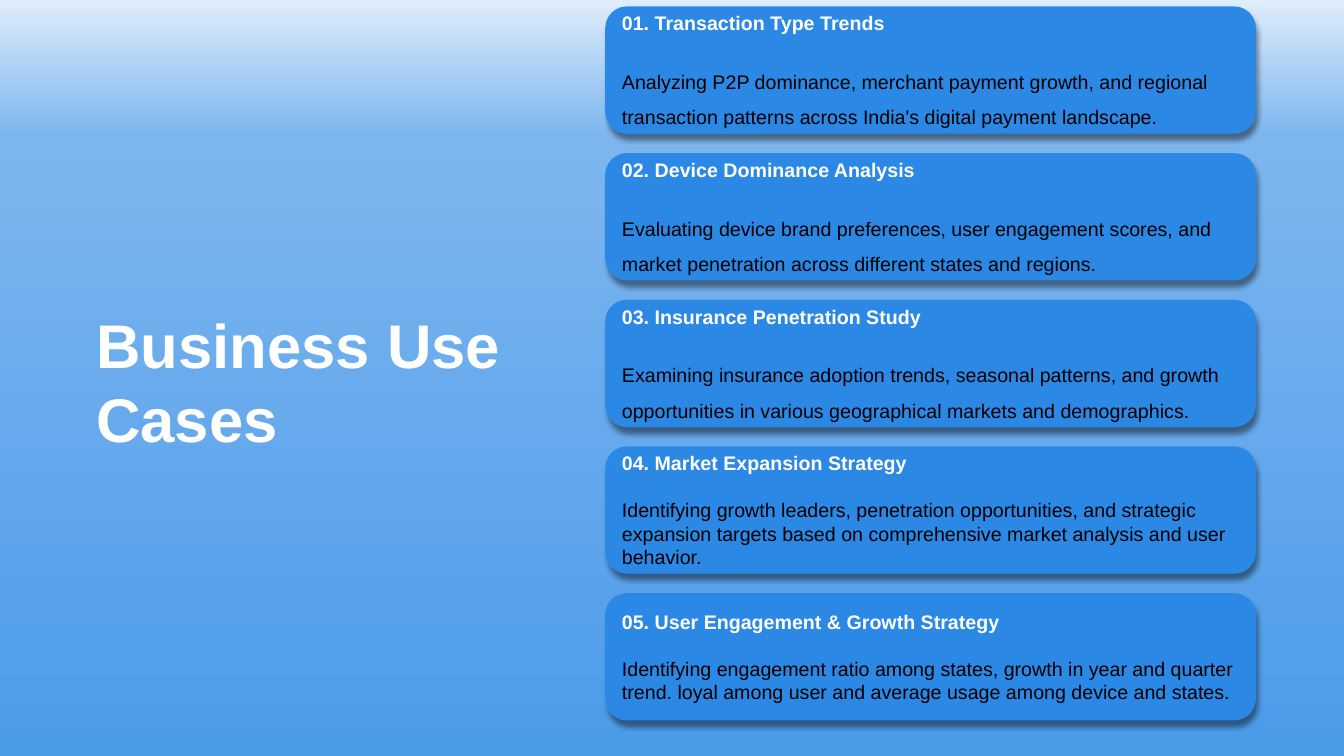
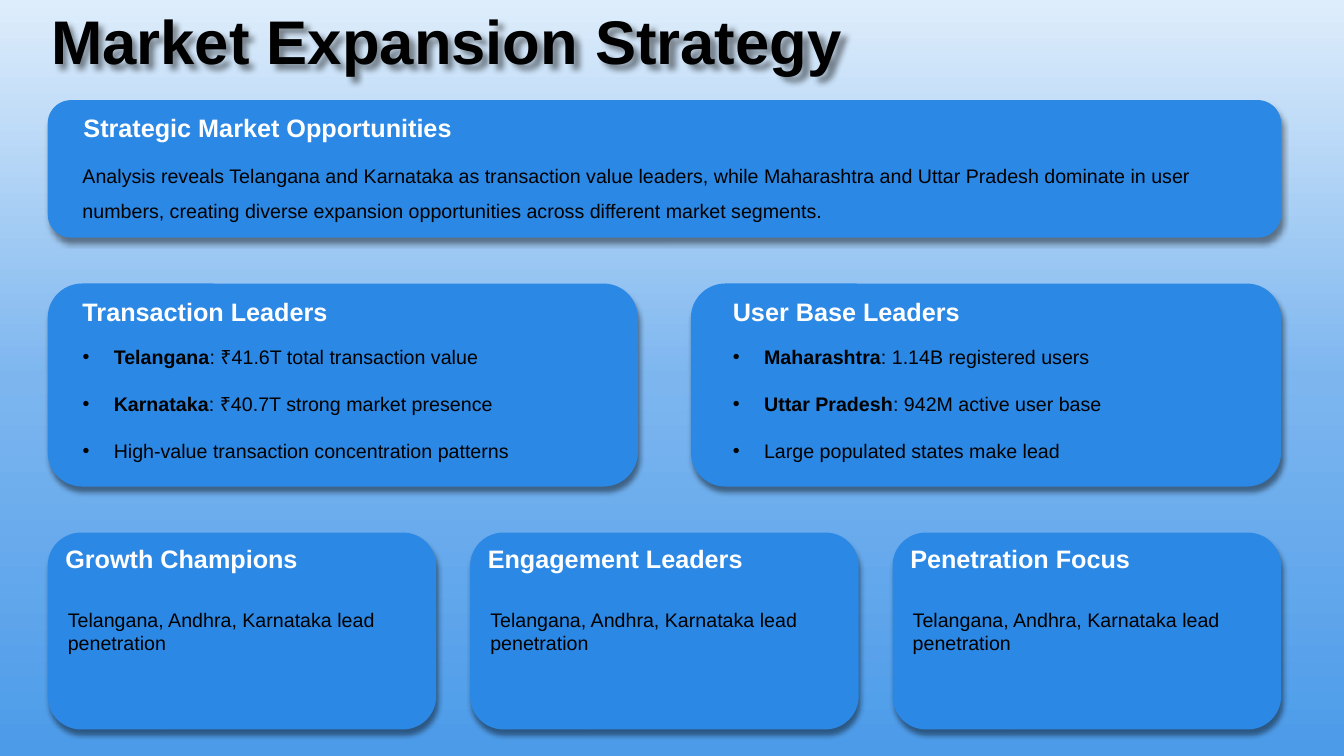
import pptx
import pptx.util
import pptx.dml.color
import pptx.enum.shapes
import pptx.enum.text
import pptx.oxml.ns
import lxml.etree

Inches = pptx.util.Inches
Pt = pptx.util.Pt
qn = pptx.oxml.ns.qn

COLORS = {
    "sky_top": "DEEDFB",
    "sky_middle": "7DB6EF",
    "sky_bottom": "4C9BE9",
    "card": "2C88E5",
    "light": "FFFFFF",
    "dark": "000000",
}
FONT = "Arial"
TITLE_SIZE, HEADING_SIZE, BODY_SIZE = 44, 18, 14
LINE_GAP = 16.8


def add_box(slide, left, top, width, height, card=False, shadow_angle=None, anchor="TOP"):
    """Add a rounded card or a plain text box, with a shadow if an angle in degrees is given."""
    place = [Inches(value) for value in (left, top, width, height)]
    if card:
        box = slide.shapes.add_shape(
            pptx.enum.shapes.MSO_SHAPE.FLOWCHART_ALTERNATE_PROCESS, *place)
        box.fill.solid()
        box.fill.fore_color.rgb = pptx.dml.color.RGBColor.from_string(COLORS["card"])
        box.line.color.rgb = pptx.dml.color.RGBColor.from_string(COLORS["card"])
        box.line.width = Pt(1)
        box.shadow.inherit = False
    else:
        box = slide.shapes.add_textbox(*place)
    box.text_frame.word_wrap = True
    box.text_frame.vertical_anchor = getattr(pptx.enum.text.MSO_ANCHOR, anchor)
    if shadow_angle is not None:
        box.shadow.inherit = False
        effects = box._element.spPr.find(qn("a:effectLst"))
        shadow = lxml.etree.SubElement(
            effects, qn("a:outerShdw"), blurRad=str(Pt(4)), dist=str(Pt(4)),
            dir=str(shadow_angle * 60000), algn="tl", rotWithShape="0")
        tint = lxml.etree.SubElement(shadow, qn("a:srgbClr"), val=COLORS["dark"])
        lxml.etree.SubElement(tint, qn("a:alpha"), val="43000")
    return box


def write(box, text, size=BODY_SIZE, color="dark", bold=False, lead="",
          space_before=0, line_spacing=None, bullet=False):
    """Write one paragraph into the box; lead is a bold opening before the text."""
    para = box.text_frame.paragraphs[-1]
    if para.runs:
        para = box.text_frame.add_paragraph()
    para.alignment = pptx.enum.text.PP_ALIGN.LEFT
    para.space_before = Pt(space_before)
    if line_spacing:
        para.line_spacing = line_spacing
    if bullet:
        properties = para._p.get_or_add_pPr()
        properties.set("marL", str(Inches(0.31)))
        properties.set("indent", str(-Inches(0.31)))
        lxml.etree.SubElement(properties, qn("a:buFont"), typeface=FONT)
        lxml.etree.SubElement(properties, qn("a:buChar"), char="•")
    for words, is_bold in ((lead, True), (text, bold)):
        if words:
            span = para.add_run()
            span.text = words
            span.font.name = FONT
            span.font.size = Pt(size)
            span.font.bold = is_bold
            span.font.color.rgb = pptx.dml.color.RGBColor.from_string(COLORS[color])


deck = pptx.Presentation()
deck.slide_width = Inches(13.33)
deck.slide_height = Inches(7.5)

# Both slides share one sky gradient; only its middle stop moves
for middle_stop in (18, 50):
    slide = deck.slides.add_slide(deck.slide_layouts[6])
    sky = slide.background.fill
    sky.gradient()
    sky.gradient_angle = 270
    stops = slide._element.find(".//" + qn("a:gsLst"))
    for stop in list(stops):
        stops.remove(stop)
    for position, name in ((0, "sky_top"), (middle_stop, "sky_middle"), (100, "sky_bottom")):
        stop = lxml.etree.SubElement(stops, qn("a:gs"), pos=str(position * 1000))
        lxml.etree.SubElement(stop, qn("a:srgbClr"), val=COLORS[name])
use_cases_slide, expansion_slide = deck.slides

# Slide 1: business use cases
panel = add_box(use_cases_slide, 0.61, 0.41, 5.05, 6.74, card=True, anchor="MIDDLE")
panel.fill.background()
panel.line.fill.background()
write(panel, "Business Use Cases", size=TITLE_SIZE, color="light", bold=True)

use_cases = [
    ("Transaction Type Trends", 1.5,
     "Analyzing P2P dominance, merchant payment growth, and regional transaction patterns "
     "across India's digital payment landscape."),
    ("Device Dominance Analysis", 1.5,
     "Evaluating device brand preferences, user engagement scores, and market penetration "
     "across different states and regions."),
    ("Insurance Penetration Study", 1.5,
     "Examining insurance adoption trends, seasonal patterns, and growth opportunities in "
     "various geographical markets and demographics."),
    ("Market Expansion Strategy", None,
     "Identifying growth leaders, penetration opportunities, and strategic expansion targets "
     "based on comprehensive market analysis and user behavior."),
    ("User Engagement & Growth Strategy", None,
     "Identifying engagement ratio among states, growth in year and quarter trend. loyal "
     "among user and average usage among device and states."),
]
for index, (heading, line_spacing, body) in enumerate(use_cases):
    card = add_box(use_cases_slide, 6.01, 0.07 + index * 1.455, 6.44, 1.25,
                   card=True, shadow_angle=75, anchor="MIDDLE")
    write(card, f"{index + 1:02}. {heading}", color="light", bold=True)
    write(card, body, space_before=LINE_GAP, line_spacing=line_spacing)

# Slide 2: market expansion strategy
title = add_box(expansion_slide, 0.41, 0.01, 11.36, 0.77, shadow_angle=45, anchor="MIDDLE")
write(title, "Market Expansion Strategy", size=TITLE_SIZE, bold=True)

add_box(expansion_slide, 0.48, 1, 12.22, 1.35, card=True, shadow_angle=75)
heading_box = add_box(expansion_slide, 0.73, 1.07, 4.5, 0.4)
write(heading_box, "Strategic Market Opportunities", size=HEADING_SIZE, color="light", bold=True)
summary = add_box(expansion_slide, 0.72, 1.46, 11.2, 0.81)
write(summary,
      "Analysis reveals Telangana and Karnataka as transaction value leaders, while Maharashtra "
      "and Uttar Pradesh dominate in user numbers, creating diverse expansion opportunities "
      "across different market segments.", line_spacing=1.5)

leader_groups = [
    (0.48, 0.72, "Transaction Leaders", [
        ("Telangana", ": ₹41.6T total transaction value"),
        ("Karnataka", ": ₹40.7T strong market presence"),
        ("", "High-value transaction concentration patterns")]),
    (6.86, 7.17, "User Base Leaders", [
        ("Maharashtra", ": 1.14B registered users"),
        ("Uttar Pradesh", ": 942M active user base"),
        ("", "Large populated states make lead")]),
]
for card_left, text_left, heading, points in leader_groups:
    add_box(expansion_slide, card_left, 2.82, 5.84, 2, card=True, shadow_angle=75)
    heading_box = add_box(expansion_slide, text_left, 2.89, 3.47, 0.4)
    write(heading_box, heading, size=HEADING_SIZE, color="light", bold=True)
    points_box = add_box(expansion_slide, text_left, 3.37, 5.12, 1.24)
    for index, (state, fact) in enumerate(points):
        write(points_box, fact, lead=state, bullet=True,
              space_before=LINE_GAP if index else 0)

for index, heading in enumerate(["Growth Champions", "Engagement Leaders", "Penetration Focus"]):
    left = 0.48 + index * 4.19
    card = add_box(expansion_slide, left, 5.29, 3.84, 1.94,
                   card=True, shadow_angle=75, anchor="MIDDLE")
    write(card, "Telangana, Andhra, Karnataka lead penetration")
    heading_box = add_box(expansion_slide, left + 0.07, 5.34, 3.47, 0.4)
    write(heading_box, heading, size=HEADING_SIZE, color="light", bold=True)

deck.save("out.pptx")
